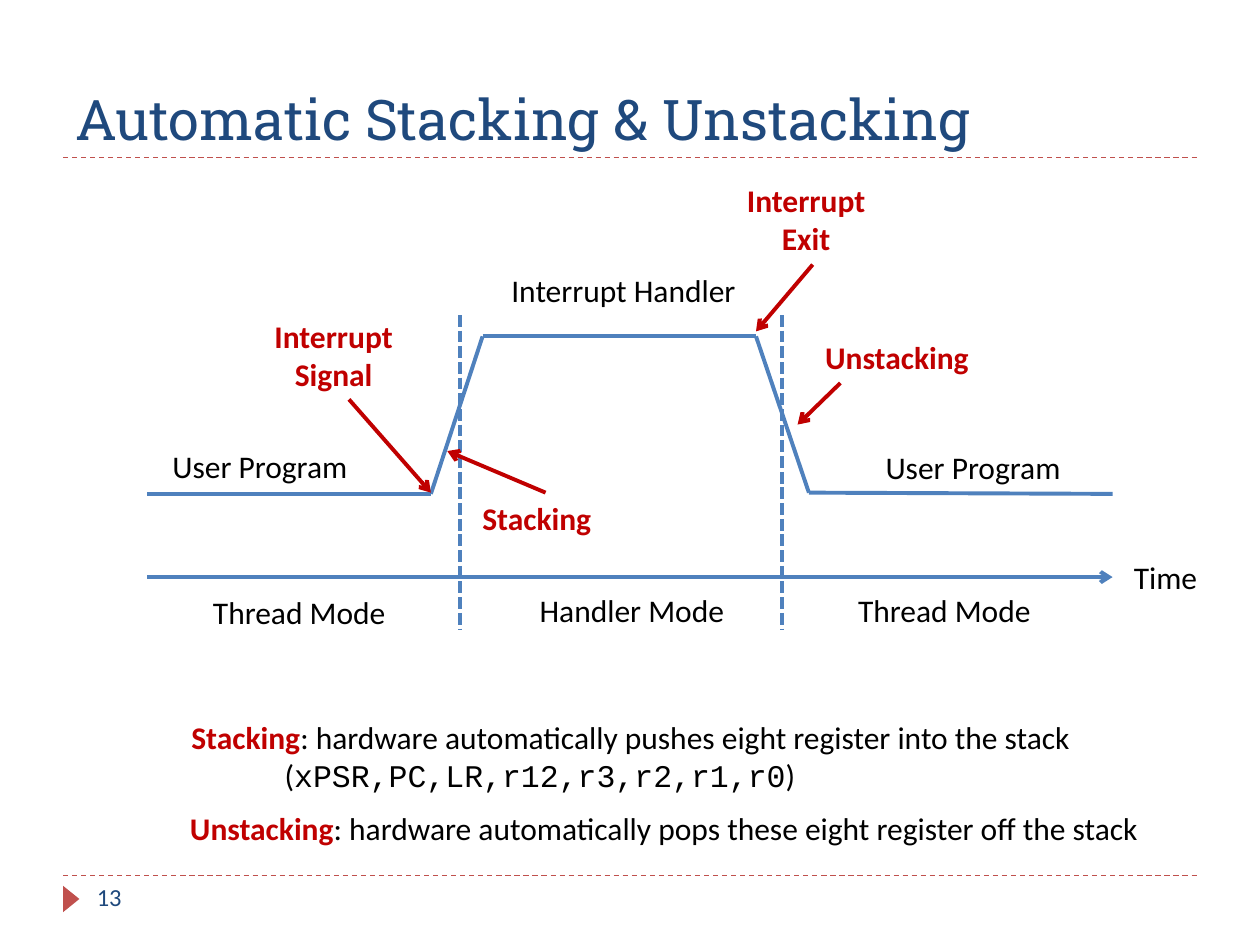
from dataclasses import dataclass

from lxml import etree
from pptx import Presentation
from pptx.dml.color import RGBColor
from pptx.enum import dml, shapes, text
from pptx.oxml import ns
from pptx.util import Inches, Pt


@dataclass(frozen=True)
class Theme:
    navy: str = "1F497D"
    blue: str = "4F81BD"
    accent: str = "C0504D"
    red: str = "C00000"
    black: str = "000000"
    heading: str = "Roboto Slab"
    body: str = "Calibri"
    code: str = "Courier New"
    title_size: int = 32
    body_size: int = 18
    number_size: int = 14
    rule_width: float = 0.75
    line_width: float = 2.25


LEFT, CENTER = text.PP_ALIGN.LEFT, text.PP_ALIGN.CENTER
TOP, BOTTOM = text.MSO_ANCHOR.TOP, text.MSO_ANCHOR.BOTTOM
DASH, SYS_DASH = dml.MSO_LINE.DASH, dml.MSO_LINE.SQUARE_DOT


class SlideBuilder:
    def __init__(self, slide, theme):
        self.s, self.theme = slide, theme

    def line(self, start, end, color, width=None, dash=None, arrow=False):
        sp = self.s.shapes.add_connector(
            shapes.MSO_CONNECTOR.STRAIGHT, *map(Inches, (*start, *end)))
        sp.line.color.rgb = RGBColor.from_string(color)
        sp.line.width = Pt(width or self.theme.line_width)
        if dash:
            sp.line.dash_style = dash
        if arrow:
            ln = sp.line._get_or_add_ln()
            etree.SubElement(ln, ns.qn("a:tailEnd"), type="arrow")
        etree.SubElement(sp._element.spPr, ns.qn("a:effectLst"))

    def rule(self, y):
        self.line((0.5, y), (9.5, y), self.theme.accent,
                  self.theme.rule_width, DASH)

    def marker(self, x, y, w, h):
        sp = self.s.shapes.add_shape(
            shapes.MSO_SHAPE.ISOSCELES_TRIANGLE, *map(Inches, (x, y, w, h)))
        sp.rotation = 90
        sp.shadow.inherit = False
        sp.fill.solid()
        sp.fill.fore_color.rgb = RGBColor.from_string(self.theme.accent)
        sp.line.fill.background()

    def box(self, x, y, w, h, wrap=False, anchor=TOP):
        sp = self.s.shapes.add_textbox(*map(Inches, (x, y, w, h)))
        tf = sp.text_frame
        tf.word_wrap = wrap
        tf.vertical_anchor = anchor
        return tf

    def style(self, p, color=None, size=None, font=None, bold=False, align=LEFT):
        p.alignment = align
        p.font.name = font or self.theme.body
        p.font.size = Pt(size or self.theme.body_size)
        p.font.bold = bold
        p.font.color.rgb = RGBColor.from_string(color or self.theme.black)

    def label(self, x, y, w, h, words, wrap=False, anchor=TOP, **style):
        tf = self.box(x, y, w, h, wrap, anchor)
        p = tf.paragraphs[0]
        p.add_run().text = words
        self.style(p, **style)
        return tf

    def callout(self, x, y, w, first, second=None):
        """Bold red label, with an optional centred second line."""
        tf = self.label(x, y, w, 0.71 if second else 0.4, first,
                        color=self.theme.red, bold=True)
        if second:
            p = tf.add_paragraph()
            p.add_run().text = second
            self.style(p, self.theme.red, bold=True, align=CENTER)

    def definition(self, x, y, w, h, term, meaning):
        tf = self.box(x, y, w, h)
        p = tf.paragraphs[0]
        self.style(p)
        r = p.add_run()
        r.text = term
        r.font.bold = True
        r.font.color.rgb = RGBColor.from_string(self.theme.red)
        p.add_run().text = ": " + meaning
        return tf

    def registers(self, tf, names, indent):
        """Indented list of register names in parentheses."""
        p = tf.add_paragraph()
        p._p.get_or_add_pPr().set("marL", str(Inches(indent)))
        self.style(p)
        for words, font in (("(", None), (names, self.theme.code), (")", None)):
            r = p.add_run()
            r.text = words
            if font:
                r.font.name = font


def main():
    prs = Presentation()
    prs.slide_width, prs.slide_height = Inches(10), Inches(7.5)
    theme = Theme()
    b = SlideBuilder(prs.slides.add_slide(prs.slide_layouts[6]), theme)

    # Frame
    for y in (6.95, 1.25):
        b.rule(y)
    b.marker(0.46, 7.07, 0.21, 0.13)
    b.label(0.5, 0.17, 9, 1.08, "Automatic Stacking & Unstacking", wrap=True,
            anchor=BOTTOM, color=theme.navy, size=theme.title_size,
            font=theme.heading)
    b.label(0.67, 6.95, 2.17, 0.4, "13", wrap=True, color=theme.navy,
            size=theme.number_size)

    # Time axis, execution level and mode boundaries
    b.line((1.17, 4.58), (8.83, 4.58), theme.blue, arrow=True)
    level = [(1.17, 3.92), (3.42, 3.92), (3.83, 2.67),
             (6, 2.67), (6.42, 3.91), (8.83, 3.92)]
    for start, end in zip(level, level[1:]):
        b.line(start, end, theme.blue)
    for x in (3.65, 6.21):
        b.line((x, 2.5), (x, 5), theme.blue, dash=SYS_DASH)

    # Labels
    for x, y, w, words in ((3.96, 2.1, 2.02, "Interrupt Handler"),
                           (1.27, 3.5, 1.64, "User Program"),
                           (6.93, 3.51, 1.64, "User Program")):
        b.label(x, y, w, 0.4, words)
    for x, y, w, words in ((1.3, 4.66, 2.15, "Thread Mode"),
                           (3.94, 4.64, 2.15, "Handler Mode"),
                           (6.42, 4.64, 2.15, "Thread Mode"),
                           (8.83, 4.38, 0.84, "Time")):
        b.label(x, y, w, 0.4, words, wrap=True, align=CENTER)

    # Events, each with an arrow to the execution level
    for place, words, start, end in (
            ((2.08, 2.47, 1.37), ("Interrupt", "Signal"), (2.77, 3.17), (3.42, 3.91)),
            ((3.73, 3.91, 1.21), ("Stacking",), (4.33, 3.91), (3.55, 3.58)),
            ((6.45, 2.63, 1.52), ("Unstacking",), (6.67, 3.04), (6.33, 3.37)),
            ((5.83, 1.39, 1.37), ("Interrupt", "Exit"), (6.45, 2.1), (6, 2.63))):
        b.callout(*place, *words)
        b.line(start, end, theme.red, arrow=True)

    # Definitions
    stacking = b.definition(
        1.42, 5.65, 7.32, 0.71, "Stacking",
        "hardware automatically pushes eight register into the stack")
    b.registers(stacking, "xPSR,PC,LR,r12,r3,r2,r1,r0", 0.74)
    b.definition(
        1.41, 6.37, 7.83, 0.4, "Unstacking",
        "hardware automatically pops these eight register off the stack")

    prs.save("out.pptx")


if __name__ == "__main__":
    main()
